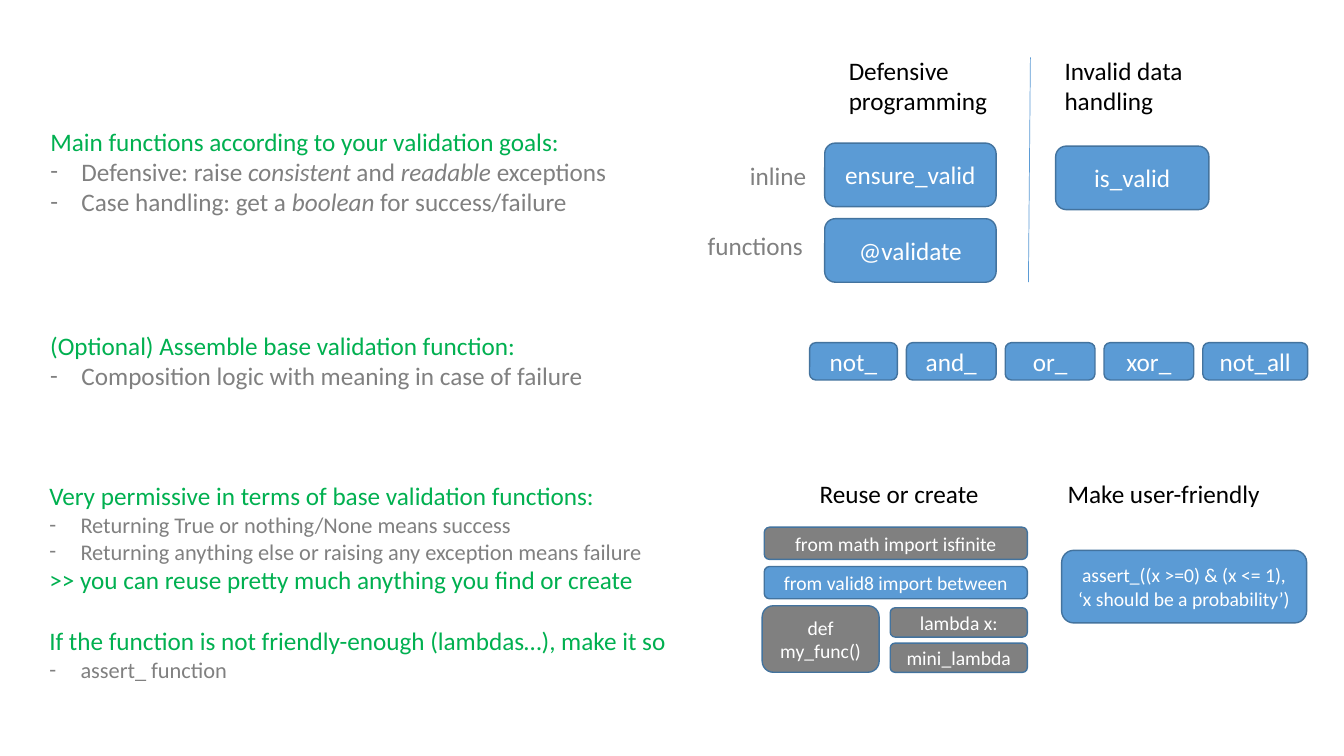
from lxml.etree import SubElement
from pptx import Presentation
from pptx.dml.color import RGBColor
from pptx.enum.shapes import MSO_CONNECTOR, MSO_SHAPE
from pptx.enum.text import MSO_ANCHOR, MSO_AUTO_SIZE, PP_ALIGN
from pptx.oxml.ns import qn
from pptx.util import Inches, Pt

FONT = "Calibri"
COLORS = {
    "blue": "5B9BD5",
    "outline": "43739E",
    "gray": "808080",
    "green": "00B050",
    "black": "000000",
    "white": "FFFFFF",
}
INDENT = Inches(0.31)


def color(name):
    return RGBColor.from_string(COLORS[name])


def format_runs(paragraph, size, color_name):
    for run in paragraph.runs:
        run.font.name = FONT
        run.font.size = Pt(size)
        run.font.color.rgb = color(color_name)


def add_text_box(slide, left, top, width, height):
    frame = slide.shapes.add_textbox(
        Inches(left), Inches(top), Inches(width), Inches(height)).text_frame
    frame.word_wrap = True
    frame.auto_size = MSO_AUTO_SIZE.SHAPE_TO_FIT_TEXT
    return frame


def add_label(slide, text, left, top, width, height=0.4, color_name="black"):
    frame = add_text_box(slide, left, top, width, height)
    frame.text = text
    format_runs(frame.paragraphs[0], 18, color_name)


def add_dash(paragraph):
    properties = paragraph._p.get_or_add_pPr()
    properties.set("marL", str(INDENT))
    properties.set("indent", str(-INDENT))
    SubElement(properties, qn("a:buFont")).set("typeface", FONT)
    SubElement(properties, qn("a:buChar")).set("char", "-")


def add_notes_block(slide, lines, left, top, width, height, item_size=18):
    """Green statements and gray "- " items; words between asterisks are italic."""
    frame = add_text_box(slide, left, top, width, height)
    for index, line in enumerate(lines):
        paragraph = frame.add_paragraph() if index else frame.paragraphs[0]
        is_item = line.startswith("- ")
        for part, text in enumerate(line.removeprefix("- ").split("*")):
            run = paragraph.add_run()
            run.text = text
            run.font.italic = part % 2 == 1
        if is_item:
            add_dash(paragraph)
            format_runs(paragraph, item_size, "gray")
        else:
            format_runs(paragraph, 18, "green")
    return frame


def add_code_box(slide, text, left, top, width, height, size=18, fill="blue"):
    shape = slide.shapes.add_shape(
        MSO_SHAPE.ROUNDED_RECTANGLE,
        Inches(left), Inches(top), Inches(width), Inches(height))
    shape.shadow.inherit = False
    shape.fill.solid()
    shape.fill.fore_color.rgb = color(fill)
    shape.line.color.rgb = color("outline")
    shape.line.width = Pt(1)
    frame = shape.text_frame
    frame.word_wrap = True
    frame.vertical_anchor = MSO_ANCHOR.MIDDLE
    frame.text = text
    paragraph = frame.paragraphs[0]
    paragraph.alignment = PP_ALIGN.CENTER
    format_runs(paragraph, size, "white")


def add_divider(slide, start_x, start_y, end_x, end_y):
    line = slide.shapes.add_connector(
        MSO_CONNECTOR.STRAIGHT,
        Inches(start_x), Inches(start_y), Inches(end_x), Inches(end_y))
    line.line.color.rgb = color("blue")
    line.line.width = Pt(0.5)
    SubElement(line._element.spPr, qn("a:effectLst"))


def add_main_functions(slide):
    add_notes_block(slide, [
        "Main functions according to your validation goals:",
        "- Defensive: raise *consistent* and *readable* exceptions",
        "- Case handling: get a *boolean* for success/failure",
    ], 0.4, 1.2, 5.98, 1.01)
    add_label(slide, "Defensive programming", 8.32, 0.5, 1.6, 0.71)
    add_label(slide, "Invalid data handling", 10.46, 0.5, 1.6, 0.71)
    add_label(slide, "inline", 7.34, 1.54, 0.83, color_name="gray")
    add_label(slide, "functions", 6.92, 2.24, 1.25, color_name="gray")
    add_divider(slide, 10.22, 0.57, 10.2, 2.8)
    add_code_box(slide, "ensure_valid", 8.18, 1.42, 1.7, 0.63)
    add_code_box(slide, "@validate", 8.18, 2.17, 1.7, 0.63)
    add_code_box(slide, "is_valid", 10.47, 1.45, 1.52, 0.63)


def add_composition(slide):
    add_notes_block(slide, [
        "(Optional) Assemble base validation function:",
        "- Composition logic with meaning in case of failure",
    ], 0.4, 3.23, 7.33, 0.71)
    left, gap = 8.03, 0.09
    for operator, width in [("not_", 0.87), ("and_", 0.89), ("or_", 0.89),
                            ("xor_", 0.89), ("not_all", 1.04)]:
        add_code_box(slide, operator, left, 3.4, width, 0.37)
        left += width + gap


def add_base_functions(slide):
    frame = add_notes_block(slide, [
        "Very permissive in terms of base validation functions:",
        "- Returning True or nothing/None means success",
        "- Returning anything else or raising any exception means failure",
        ">> you can reuse pretty much anything you find or create",
        "If the function is not friendly-enough (lambdas…), make it so",
        "- assert_ function",
    ], 0.39, 4.72, 7.05, 2.12, item_size=16)
    frame.paragraphs[4].space_before = Pt(22)
    add_label(slide, "Reuse or create", 8.03, 4.7, 1.98)
    add_label(slide, "Make user-friendly", 10.49, 4.7, 2.47)
    for text, left, top, width, height, fill in [
        ("from math import isfinite", 7.58, 5.23, 2.61, 0.32, "gray"),
        ("from valid8 import between", 7.58, 5.62, 2.61, 0.32, "blue"),
        ("def my_func()", 7.56, 6.01, 1.16, 0.66, "gray"),
        ("lambda x:", 8.83, 6.03, 1.36, 0.29, "gray"),
        ("mini_lambda", 8.83, 6.38, 1.36, 0.29, "gray"),
        ("assert_((x >=0) & (x <= 1), ‘x should be a probability’)",
         10.53, 5.46, 2.43, 0.72, "blue"),
    ]:
        add_code_box(slide, text, left, top, width, height, 14, fill)


def main():
    presentation = Presentation()
    presentation.slide_width = Inches(13.33)
    presentation.slide_height = Inches(7.5)
    slide = presentation.slides.add_slide(presentation.slide_layouts[6])
    add_main_functions(slide)
    add_composition(slide)
    add_base_functions(slide)
    presentation.save("out.pptx")


if __name__ == "__main__":
    main()
